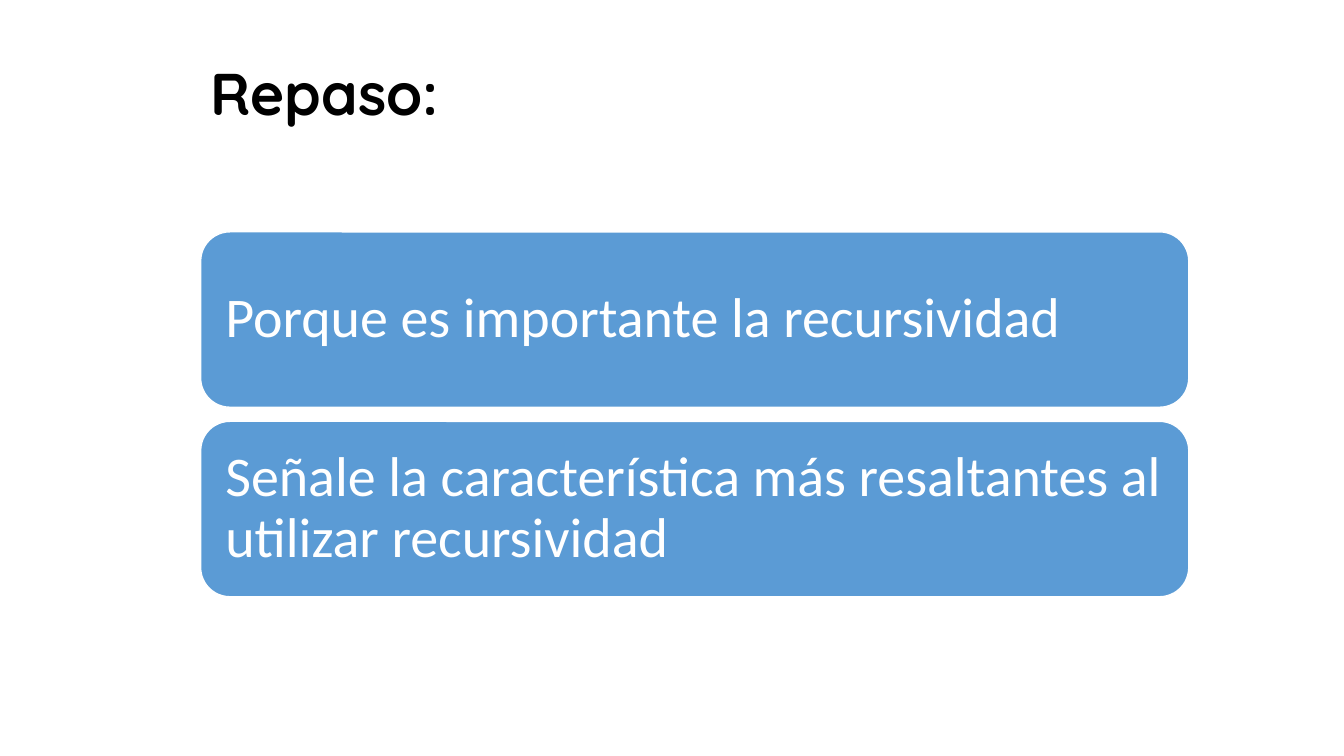
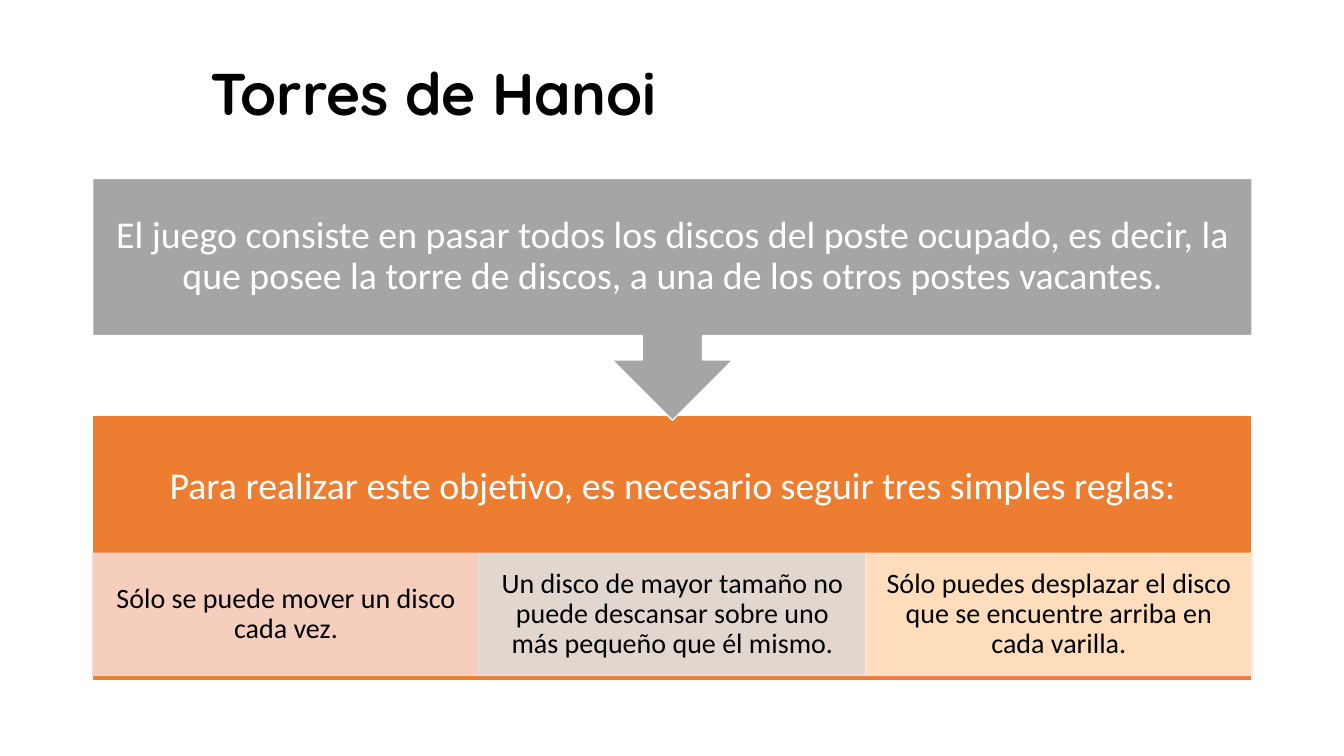
from dataclasses import dataclass

from lxml import etree
from pptx import Presentation, util as u
from pptx.dml.color import RGBColor
from pptx.enum import shapes, text
from pptx.oxml.ns import qn

WIDTH, HEIGHT = u.Inches(13.33), u.Inches(7.5)
WHITE, BLACK, BLUE, GRAY, ORANGE = "FFFFFF", "000000", "5B9BD5", "A5A5A5", "ED7D31"

TITLE_FONT = {"name": "Quicksand", "size": u.Pt(42), "bold": True}
QUESTION_FONT = {"name": "Calibri", "size": u.Pt(40)}
BAND_FONT = {"name": "Calibri", "size": u.Pt(27)}
RULE_FONT = {"name": "Calibri", "size": u.Pt(20)}

LEFT, CENTER = text.PP_ALIGN.LEFT, text.PP_ALIGN.CENTER
SHAPE = shapes.MSO_SHAPE


@dataclass(frozen=True)
class Area:
    """A place on the slide, in percent of the slide's width and height."""
    left: float
    top: float
    width: float
    height: float

    def emu(self) -> tuple[int, int, int, int]:
        return (int(WIDTH * self.left / 100), int(HEIGHT * self.top / 100),
                int(WIDTH * self.width / 100), int(HEIGHT * self.height / 100))


@dataclass(frozen=True)
class Panel:
    """A filled shape with its text; insets are left/right, top, bottom in inches."""
    words: str
    area: Area
    fill: str
    font: dict
    insets: tuple[float, float, float]
    kind: int = SHAPE.RECTANGLE
    line: str = WHITE
    color: str = WHITE
    align: int = CENTER
    opacity: int = 100


TITLE_AREA = Area(14.93, 5.33, 78.24, 14.8)
QUESTION_AREA = Area(14.93, 30.67, 73.52, 23.2)
QUESTION_STEP = 25.07
INTRO_AREA = Area(6.9, 23.6, 86.27, 32)
RULES_AREA = Area(6.9, 54.93, 86.27, 35.07)
RULE_TOP, RULE_HEIGHT = 73.2, 16.13

QUESTIONS = (
    "Porque es importante la recursividad",
    "Señale la característica más resaltantes al utilizar recursividad",
)
INTRO = ("El juego consiste en pasar todos los discos del poste ocupado, es decir, "
         "la que posee la torre de discos, a una de los otros postes vacantes.")
RULES_HEADING = "Para realizar este objetivo, es necesario seguir tres simples reglas:"
RULES = (
    ("Sólo se puede mover un disco cada vez.", "F8D7CE"),
    ("Un disco de mayor tamaño no puede descansar sobre uno más pequeño que él mismo.",
     "E1E1E1"),
    ("Sólo puedes desplazar el disco que se encuentre arriba en cada varilla.", "FFE8CC"),
)


def rgb(code: str) -> RGBColor:
    return RGBColor.from_string(code)


def write(box, words: str, font: dict, color: str, align: int,
          insets: tuple[float, float, float]) -> None:
    side, top, bottom = (u.Inches(inset) for inset in insets)
    frame = box.text_frame
    frame_format = {"word_wrap": True, "vertical_anchor": text.MSO_ANCHOR.MIDDLE,
                    "margin_left": side, "margin_right": side,
                    "margin_top": top, "margin_bottom": bottom}
    para = frame.paragraphs[0]
    span = para.add_run()
    span.text = words
    span.font.color.rgb = rgb(color)
    for target, values in ((frame, frame_format),
                           (para, {"alignment": align, "line_spacing": 0.9}),
                           (span.font, font)):
        for name, value in values.items():
            setattr(target, name, value)


def add_title(page, words: str) -> None:
    box = page.shapes.add_textbox(*TITLE_AREA.emu())
    write(box, words, TITLE_FONT, BLACK, LEFT, (0.1, 0.05, 0.05))


def add_panel(page, panel: Panel) -> None:
    box = page.shapes.add_shape(panel.kind, *panel.area.emu())
    box.shadow.inherit = False
    box.fill.solid()
    box.fill.fore_color.rgb = rgb(panel.fill)
    box.line.color.rgb = rgb(panel.line)
    box.line.width = u.Pt(1)
    if panel.opacity < 100:
        for color in list(box.element.iter(qn("a:srgbClr"))):
            etree.SubElement(color, qn("a:alpha"), val=str(panel.opacity * 1000))
    write(box, panel.words, panel.font, panel.color, panel.align, panel.insets)


def review_panels() -> list[Panel]:
    area = QUESTION_AREA
    return [Panel(question,
                  Area(area.left, area.top + row * QUESTION_STEP, area.width, area.height),
                  BLUE, QUESTION_FONT, (0.16, 0.17, 0.17),
                  kind=SHAPE.ROUNDED_RECTANGLE, align=LEFT)
            for row, question in enumerate(QUESTIONS)]


def hanoi_panels() -> list[Panel]:
    column = RULES_AREA.width / len(RULES)
    heading = Panel(RULES_HEADING, RULES_AREA, ORANGE, BAND_FONT, (0.21, 0.21, 1.42))
    rules = [Panel(rule, Area(RULES_AREA.left + index * column, RULE_TOP, column, RULE_HEIGHT),
                   tint, RULE_FONT, (0.16, 0.03, 0.03),
                   line=tint, color=BLACK, opacity=90)
             for index, (rule, tint) in enumerate(RULES)]
    intro = Panel(INTRO, INTRO_AREA, GRAY, BAND_FONT, (0.21, 0.21, 0.21),
                  kind=SHAPE.DOWN_ARROW_CALLOUT)
    return [heading, *rules, intro]


def main() -> None:
    deck = Presentation()
    deck.slide_width, deck.slide_height = WIDTH, HEIGHT
    blank = deck.slide_layouts[6]
    for title, panels in (("Repaso:", review_panels()), ("Torres de Hanoi", hanoi_panels())):
        page = deck.slides.add_slide(blank)
        add_title(page, title)
        for panel in panels:
            add_panel(page, panel)
    deck.save("out.pptx")


if __name__ == "__main__":
    main()
